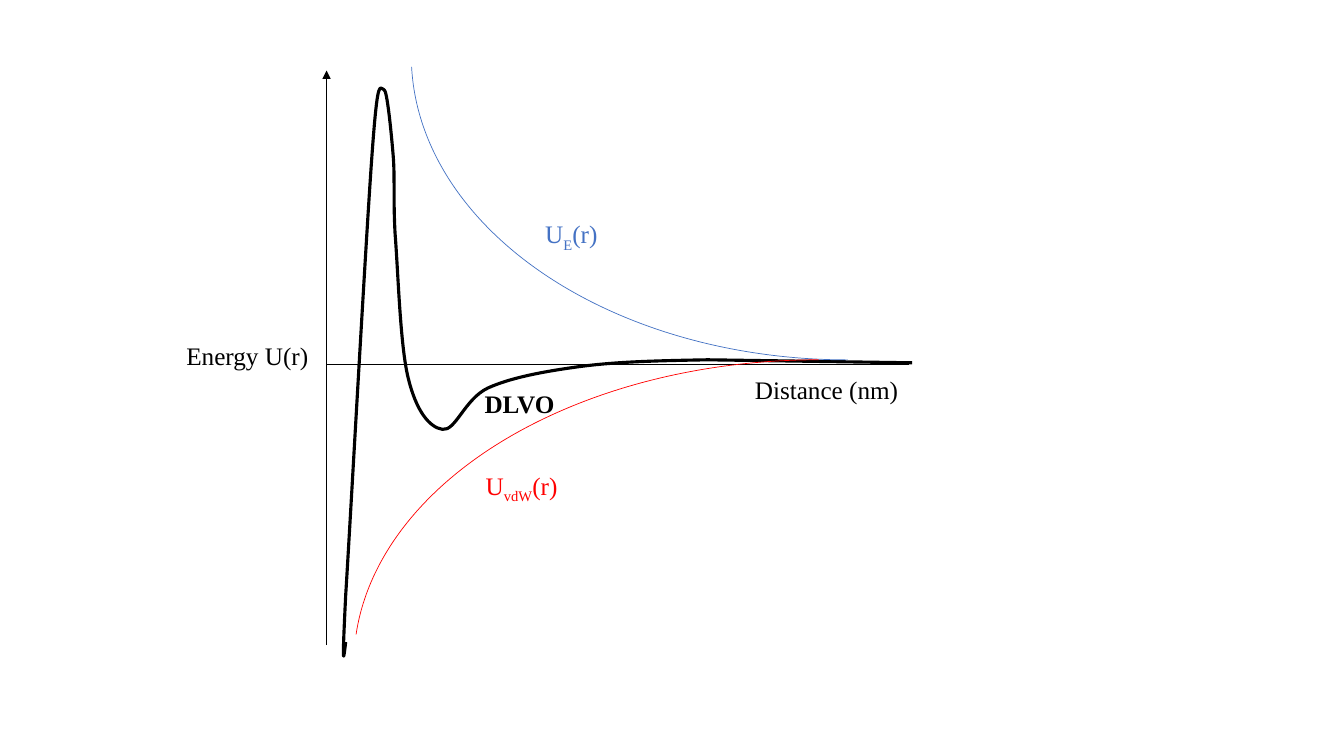
from dataclasses import dataclass

from lxml import etree
from pptx import Presentation
from pptx.dml.color import RGBColor
from pptx.enum.shapes import MSO_CONNECTOR, MSO_SHAPE
from pptx.enum.text import MSO_AUTO_SIZE
from pptx.oxml.ns import qn
from pptx.util import Inches, Pt

ARC = MSO_SHAPE.ARC
STRAIGHT = MSO_CONNECTOR.STRAIGHT
FIT_SHAPE = MSO_AUTO_SIZE.SHAPE_TO_FIT_TEXT

SLIDE_WIDTH = Inches(13.33)
SLIDE_HEIGHT = Inches(7.5)
COLUMNS = 160
ROWS = 90
BLANK_LAYOUT = 6


@dataclass(frozen=True)
class Theme:
    ink: RGBColor = RGBColor(0x00, 0x00, 0x00)
    repulsion: RGBColor = RGBColor(0x44, 0x72, 0xC4)
    attraction: RGBColor = RGBColor(0xFF, 0x00, 0x00)
    font: str = "Times New Roman"
    label_size: Pt = Pt(18)
    thin: Pt = Pt(0.5)
    thick: Pt = Pt(2.25)
    subscript: str = "-25000"


THEME = Theme()

DLVO_BOX = (40.92, 10.56, 67.68, 67.68)
DLVO_START = (108.6, 43.2)
DLVO_TAIL = (84.24, 42.84)
DLVO_CURVES = [
    ((77.64, 42.96), (73.2, 43.08), (68.76, 43.68)),
    ((64.44, 44.28), (60.72, 45), (58.08, 46.2)),
    ((55.32, 47.52), (54.24, 51.36), (52.68, 51.12)),
    ((51.12, 50.88), (49.56, 48.96), (48.6, 45)),
    ((47.64, 41.16), (47.4, 32.28), (47.04, 27.84)),
    ((46.8, 23.4), (47.04, 21.12), (46.8, 18.36)),
    ((46.56, 15.48), (46.08, 10.68), (45.72, 10.68)),
    ((45.24, 10.68), (45, 8.52), (44.28, 18.6)),
    ((43.56, 28.56), (41.76, 61.2), (41.16, 70.92)),
    ((40.68, 80.52), (40.92, 78.48), (41.16, 76.44)),
]


def across(columns):
    return round(SLIDE_WIDTH * columns / COLUMNS)


def down(rows):
    return round(SLIDE_HEIGHT * rows / ROWS)


def place(left, top, width, height):
    return across(left), down(top), across(width), down(height)


def style_line(shape, color, width):
    shape.line.color.rgb = color
    shape.line.width = width


def add_axis(slide, start, end, arrow=False):
    axis = slide.shapes.add_connector(
        STRAIGHT, across(start[0]), down(start[1]), across(end[0]), down(end[1])
    )
    style_line(axis, THEME.ink, THEME.thin)
    if arrow:
        etree.SubElement(axis.line._get_or_add_ln(), qn("a:tailEnd"), type="triangle")
    etree.SubElement(axis._element.spPr, qn("a:effectLst"))


def add_curve_segment(outline, controls):
    segment = etree.SubElement(outline, qn("a:cubicBezTo"))
    for column, row in controls:
        x = across(column - DLVO_BOX[0])
        y = down(row - DLVO_BOX[1])
        etree.SubElement(segment, qn("a:pt"), x=str(x), y=str(y))


def add_dlvo_curve(slide):
    left, top, width, height = place(*DLVO_BOX)
    corner = (left + width, top + height)
    builder = slide.shapes.build_freeform(across(DLVO_START[0]), down(DLVO_START[1]))
    builder.add_line_segments(
        [(across(DLVO_TAIL[0]), down(DLVO_TAIL[1])), (left, top), corner], close=False
    )
    curve = builder.convert_to_shape()
    outline = curve._element.find(".//" + qn("a:path"))
    for bounding_segment in outline.findall(qn("a:lnTo"))[1:]:
        outline.remove(bounding_segment)
    for controls in DLVO_CURVES:
        add_curve_segment(outline, controls)
    curve.fill.background()
    curve.shadow.inherit = False
    style_line(curve, THEME.ink, THEME.thick)


def add_arc(slide, box, sweep_end, color, flipped=False):
    arc = slide.shapes.add_shape(ARC, *place(*box))
    arc.adjustments[0] = 162
    arc.adjustments[1] = sweep_end
    arc.rotation = 180
    if flipped:
        arc._element.spPr.xfrm.set("flipV", "1")
    arc.fill.background()
    arc.shadow.inherit = False
    style_line(arc, color, THEME.thin)


def add_label(slide, box, parts, color, bold=False, wrap=False):
    label = slide.shapes.add_textbox(*place(*box))
    frame = label.text_frame
    frame.word_wrap = wrap
    frame.auto_size = FIT_SHAPE
    paragraph = frame.paragraphs[0]
    for text, lowered in parts:
        run = paragraph.add_run()
        run.text = text
        run.font.name = THEME.font
        run.font.size = THEME.label_size
        run.font.color.rgb = color
        run.font.bold = bold
        if lowered:
            run._r.get_or_add_rPr().set("baseline", THEME.subscript)


def add_potential_label(slide, box, subscript, color):
    add_label(slide, box, [("U", False), (subscript, True), ("(r)", False)], color)


def main():
    presentation = Presentation()
    presentation.slide_width = SLIDE_WIDTH
    presentation.slide_height = SLIDE_HEIGHT
    slide = presentation.slides.add_slide(presentation.slide_layouts[BLANK_LAYOUT])

    add_axis(slide, (38.88, 11.28), (38.88, 74.4))
    add_axis(slide, (38.88, 43.32), (108.24, 43.32))
    add_dlvo_curve(slide)
    add_arc(slide, (48.96, -29.64, 103.92, 72.48), 215.1, THEME.repulsion)
    add_arc(slide, (42.12, 42.84, 110.64, 72.48), 213.79, THEME.attraction, flipped=True)
    add_label(slide, (88.68, 43.92, 27.96, 5.04), [("Distance (nm)", False)], THEME.ink, wrap=True)
    add_label(slide, (21, 39.96, 19.92, 4.8), [("Energy U(r)", False)], THEME.ink, wrap=True)
    add_axis(slide, (38.88, 76.8), (38.88, 8.4), arrow=True)
    add_potential_label(slide, (56.64, 55.38, 11.52, 4.8), "vdW", THEME.attraction)
    add_potential_label(slide, (63.72, 25.44, 8.88, 4.8), "E", THEME.repulsion)
    add_label(slide, (56.5, 45.66, 10.8, 4.8), [("DLVO", False)], THEME.ink, bold=True)

    presentation.save("out.pptx")


if __name__ == "__main__":
    main()
